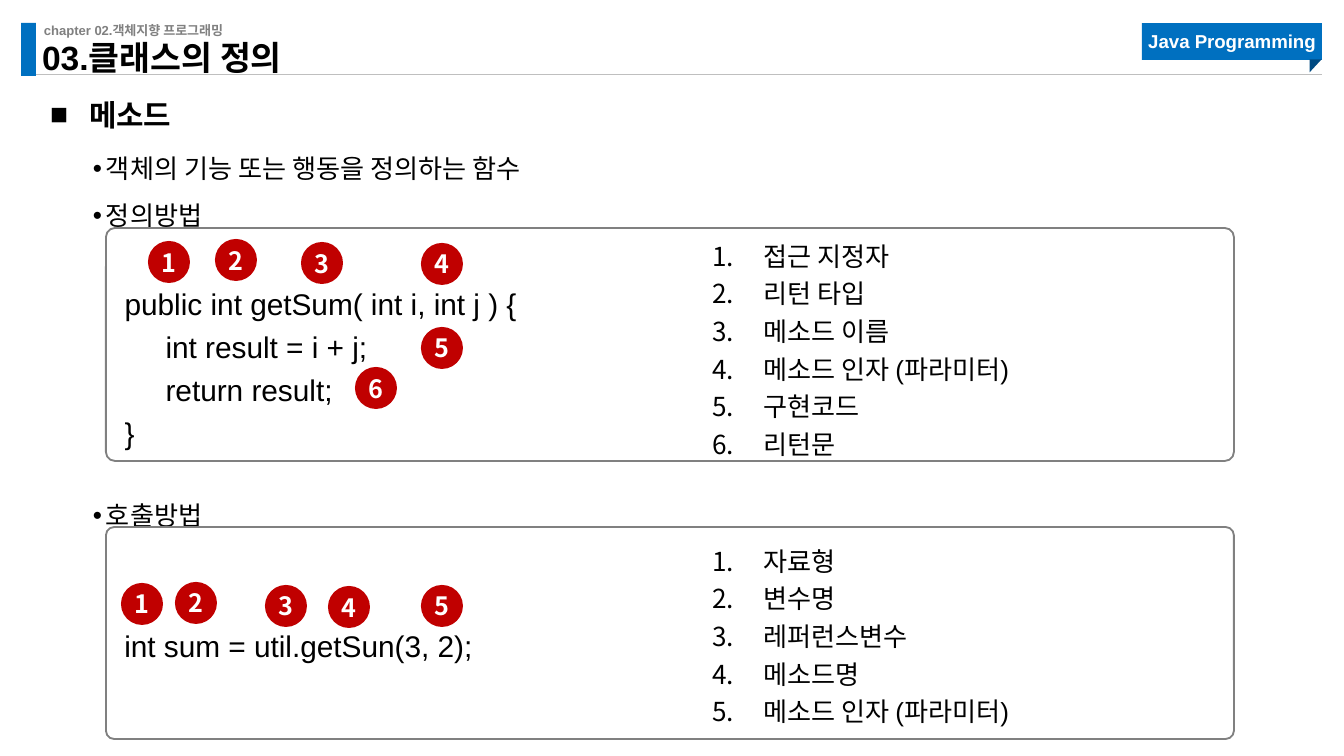
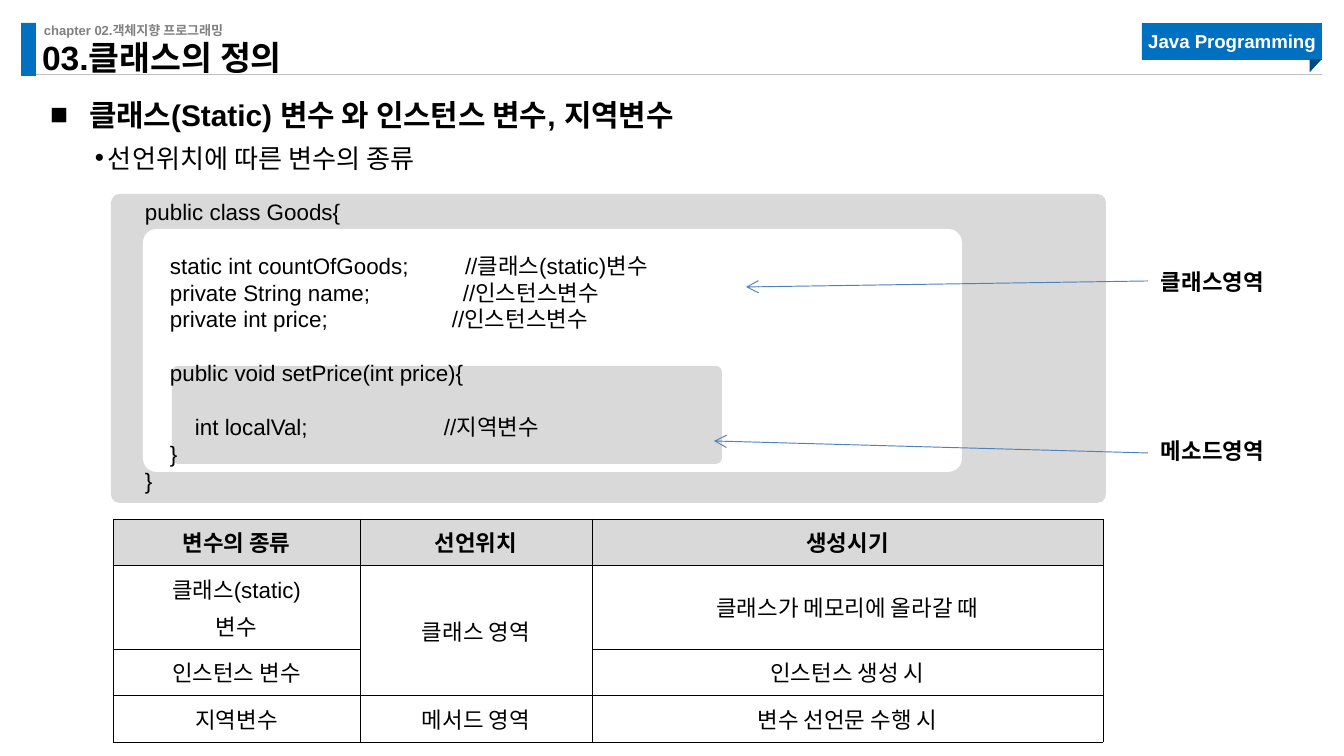
from pptx import Presentation
from pptx import util as u
from pptx.dml.color import RGBColor
from pptx.enum import shapes, text
from pptx.oxml import ns
from lxml import etree

PX = 914400 / 134.4
BLUE, NAVY, RED, ARROW = "0070C0", "004A82", "C00000", "4F81BD"
BLACK, WHITE, GRAY, RULE, PANEL = "000000", "FFFFFF", "808080", "BFBFBF", "D9D9D9"
LATIN, BADGE_FONT = "Arial", "Noto Sans CJK KR"
KIND = shapes.MSO_SHAPE
CENTER = text.PP_ALIGN.CENTER
TOP, MIDDLE, BOTTOM = text.MSO_ANCHOR.TOP, text.MSO_ANCHOR.MIDDLE, text.MSO_ANCHOR.BOTTOM

CHAPTER = "chapter 02.객체지향 프로그래밍"
COURSE = "Java Programming"
TITLE = "03.클래스의 정의"

METHOD_HEADING = "메소드"
METHOD_POINTS = [
    ((52, 137, 1280, 90), ["객체의 기능 또는 행동을 정의하는 함수", "정의방법"]),
    ((52, 484, 1208, 90), ["호출방법"]),
]
METHOD_PANELS = [
    {
        "box": (106, 228, 1128, 233), "code_top": 48,
        "code": ["public int getSum( int i, int j ) {", "\tint result = i + j;",
                 "\treturn result;", "}"],
        "badges": [(148, 241), (215, 239), (301, 242), (421, 243), (421, 327), (355, 367)],
        "legend_box": (699, 227, 497, 242),
        "legend": ["접근 지정자", "리턴 타입", "메소드 이름", "메소드 인자 (파라미터)",
                   "구현코드", "리턴문"],
    },
    {
        "box": (106, 527, 1128, 212), "code_top": 91,
        "code": ["int sum = util.getSun(3, 2);"],
        "badges": [(121, 583), (175, 582), (265, 585), (328, 586), (421, 585)],
        "legend_box": (699, 532, 513, 203),
        "legend": ["자료형", "변수명", "레퍼런스변수", "메소드명", "메소드 인자 (파라미터)"],
    },
]

VARIABLE_HEADING = "클래스(Static) 변수 와 인스턴스 변수, 지역변수"
VARIABLE_POINT = "선언위치에 따른 변수의 종류"
SCOPES = [
    ((111, 194, 995, 309), 0.028, PANEL),
    ((143, 229, 819, 243), 0.056, WHITE),
    ((172, 366, 550, 98), 0.062, PANEL),
]
GOODS_CODE = [
    ("public class Goods{", 0, 0),
    ("\tstatic int countOfGoods;\t//클래스(static)변수", 27, 320),
    ("\tprivate String name;\t//인스턴스변수", 0, 318),
    ("\tprivate int price;\t//인스턴스변수", 0, 307),
    ("\tpublic void setPrice(int price){", 27, 0),
    ("\t\tint localVal;\t//지역변수", 27, 299),
    ("\t}", 0, 0),
    ("}", 0, 0),
]
SCOPE_LABELS = [
    ("클래스영역", 261, (1148, 281), (746, 287)),
    ("메소드영역", 430, (1148, 453), (714, 441)),
]
VARIABLE_COLUMNS = [247, 232, 511]
VARIABLE_ROWS = [40, 73, 40, 40]
VARIABLES = [
    ["변수의 종류", "선언위치", "생성시기"],
    ["클래스(static)\n변수", "클래스 영역", "클래스가 메모리에 올라갈 때"],
    ["인스턴스 변수", None, "인스턴스 생성 시"],
    ["지역변수", "메서드 영역", "변수 선언문 수행 시"],
]


def px(*lengths):
    return [u.Emu(round(length * PX)) for length in lengths]


def rgb(code):
    return RGBColor.from_string(code)


def child(parent, tag, **attributes):
    node = etree.SubElement(parent, ns.qn(tag))
    for key, value in attributes.items():
        node.set(key, str(value))
    return node


def frame_setup(frame, insets=(0, 0, 0, 0), anchor=TOP, wrap=True):
    frame.word_wrap = wrap
    frame.auto_size = text.MSO_AUTO_SIZE.NONE
    frame.vertical_anchor = anchor
    (frame.margin_left, frame.margin_top,
     frame.margin_right, frame.margin_bottom) = px(*insets)


def write(frame, lines, size, color=BLACK, bold=False, font=LATIN,
          align=text.PP_ALIGN.LEFT, spacing=1.0, before=0):
    for row, line in enumerate(lines):
        paragraph = frame.paragraphs[0] if row == 0 else frame.add_paragraph()
        paragraph.alignment = align
        paragraph.line_spacing = spacing
        paragraph.space_before = u.Pt(before)
        run = paragraph.add_run()
        run.text = line
        run.font.size = u.Pt(size)
        run.font.bold = bold
        run.font.name = font
        run.font.color.rgb = rgb(color)
    return frame.paragraphs


def bullet(paragraph, left, hang, mark=None, level=0):
    paragraph.level = level
    properties = paragraph._p.get_or_add_pPr()
    margin, indent = px(left, -hang)
    properties.set("marL", str(margin))
    properties.set("indent", str(indent))
    if mark:
        child(properties, "a:buFont", typeface=LATIN)
        child(properties, "a:buChar", char=mark)
    else:
        child(properties, "a:buAutoNum", type="arabicPeriod")


def tab_stops(paragraph, stops):
    tabs = child(paragraph._p.get_or_add_pPr(), "a:tabLst")
    for stop in px(*stops):
        child(tabs, "a:tab", pos=stop, algn="l")


def add_shape(slide, kind, box, fill=None, line=None, corner=None):
    shape = slide.shapes.add_shape(kind, *px(*box))
    shape.shadow.inherit = False
    if fill:
        shape.fill.solid()
        shape.fill.fore_color.rgb = rgb(fill)
    else:
        shape.fill.background()
    if line:
        shape.line.color.rgb = rgb(line)
        shape.line.width = u.Pt(1)
    else:
        shape.line.fill.background()
    if corner:
        shape.adjustments[0] = corner
    return shape


def add_text(slide, box, lines, size, insets=(13, 7, 13, 7), wrap=True, **style):
    label = slide.shapes.add_textbox(*px(*box))
    frame_setup(label.text_frame, insets, wrap=wrap)
    write(label.text_frame, lines, size, **style)
    return label


def add_line(slide, start, end, color, arrow=False):
    line = slide.shapes.add_connector(shapes.MSO_CONNECTOR.STRAIGHT, *px(*start, *end))
    line.line.color.rgb = rgb(color)
    line.line.width = u.Pt(0.5)
    if arrow:
        child(line.line._get_or_add_ln(), "a:tailEnd", type="arrow")
    child(line.element.spPr, "a:effectLst")
    return line


def add_points(slide, box, lines, **style):
    points = add_text(slide, box, lines, 14, insets=(0, 0, 13, 7), **style)
    for paragraph in points.text_frame.paragraphs:
        bullet(paragraph, 54, 13, "•", level=1)


def build_header(slide, layout):
    rule = add_line(slide, (21, 75), (1322, 75), RULE)
    bar = add_shape(slide, KIND.RECTANGLE, (21, 23, 15, 53), BLUE)
    chapter = add_text(slide, (44, 22, 434, 16), [CHAPTER], 7, insets=(0, 0, 0, 0),
                       color=GRAY, bold=True)
    ribbon = add_shape(slide, KIND.RECTANGLE, (1142, 23, 180, 37), BLUE)
    frame_setup(ribbon.text_frame, anchor=MIDDLE)
    write(ribbon.text_frame, [COURSE], 10, WHITE, True, align=CENTER)
    fold = add_shape(slide, KIND.RIGHT_TRIANGLE, (1309, 60, 13, 12), NAVY)
    fold.rotation = 90
    for number, part in enumerate([rule, bar, chapter, ribbon, fold], 20):
        part.element.xpath(".//p:cNvPr")[0].set("id", str(number))
        layout.shapes.element.append(part.element)


def add_slide(deck, heading):
    slide = deck.slides.add_slide(deck.slide_layouts[1])
    title, body = slide.shapes.title, slide.placeholders[1]
    title.left, title.top, title.width, title.height = px(42, 47, 444, 31)
    frame_setup(title.text_frame, anchor=BOTTOM)
    write(title.text_frame, [TITLE], 18, bold=True, spacing=0.9)
    body.left, body.top, body.width, body.height = px(50, 79, 1282, 44)
    frame_setup(body.text_frame)
    line = write(body.text_frame, [heading], 16, bold=True, spacing=1.5)[0]
    bullet(line, 39, 39, "■")
    return slide


def build_method(slide):
    for box, lines in METHOD_POINTS:
        add_points(slide, box, lines, spacing=1.5)
    for panel in METHOD_PANELS:
        code = add_shape(slide, KIND.ROUNDED_RECTANGLE, panel["box"], line=GRAY, corner=0.039)
        frame_setup(code.text_frame, (16, panel["code_top"], 16, 5))
        for paragraph in write(code.text_frame, panel["code"], 16, spacing=1.2):
            tab_stops(paragraph, [41])
        for number, spot in enumerate(panel["badges"], 1):
            badge = add_shape(slide, KIND.OVAL, (*spot, 42, 42), RED)
            frame_setup(badge.text_frame, anchor=MIDDLE)
            write(badge.text_frame, [str(number)], 13.5, WHITE, True, BADGE_FONT, CENTER)
        legend = add_text(slide, panel["legend_box"], panel["legend"], 14, spacing=1.2)
        for paragraph in legend.text_frame.paragraphs:
            bullet(paragraph, 51, 51)


def fill_cell(cell, words, header):
    cell.margin_left, cell.margin_top, cell.margin_right, cell.margin_bottom = px(13, 7, 13, 7)
    cell.vertical_anchor = MIDDLE
    properties = cell._tc.get_or_add_tcPr()
    for side in ("a:lnL", "a:lnR", "a:lnT", "a:lnB"):
        border = child(properties, side, w=u.Pt(0.25))
        child(child(border, "a:solidFill"), "a:srgbClr", val=BLACK)
    if header:
        cell.fill.solid()
        cell.fill.fore_color.rgb = rgb(PANEL)
    else:
        cell.fill.background()
    if words:
        write(cell.text_frame, words.split("\n"), 12, bold=header, align=CENTER, before=2.4)


def build_variables(slide):
    add_points(slide, (54, 142, 906, 47), [VARIABLE_POINT], before=6)
    for box, corner, fill in SCOPES:
        add_shape(slide, KIND.ROUNDED_RECTANGLE, box, fill, corner=corner)
    code = add_text(slide, (132, 191, 699, 312), [line for line, _, _ in GOODS_CODE], 12)
    for paragraph, (_, gap, comment) in zip(code.text_frame.paragraphs, GOODS_CODE):
        paragraph.space_before = px(gap)[0]
        tab_stops(paragraph, [25, 50] + ([comment] if comment else []))
    for label, top, start, end in SCOPE_LABELS:
        add_text(slide, (1148, top, 140, 40), [label], 12, wrap=False, bold=True)
        add_line(slide, start, end, ARROW, arrow=True)

    table = slide.shapes.add_table(
        len(VARIABLE_ROWS), len(VARIABLE_COLUMNS),
        *px(113, 519, sum(VARIABLE_COLUMNS), sum(VARIABLE_ROWS))).table
    table.first_row = table.horz_banding = False
    for column, width in zip(table.columns, px(*VARIABLE_COLUMNS)):
        column.width = width
    for row, height in zip(table.rows, px(*VARIABLE_ROWS)):
        row.height = height
    for r, row in enumerate(VARIABLES):
        for c, words in enumerate(row):
            fill_cell(table.cell(r, c), words, header=r == 0)
    table.cell(1, 1).merge(table.cell(2, 1))


def main():
    deck = Presentation()
    deck.slide_width, deck.slide_height = px(1344, 756)
    method = add_slide(deck, METHOD_HEADING)
    build_header(method, deck.slide_layouts[1])
    build_method(method)
    build_variables(add_slide(deck, VARIABLE_HEADING))
    deck.save("out.pptx")


if __name__ == "__main__":
    main()
